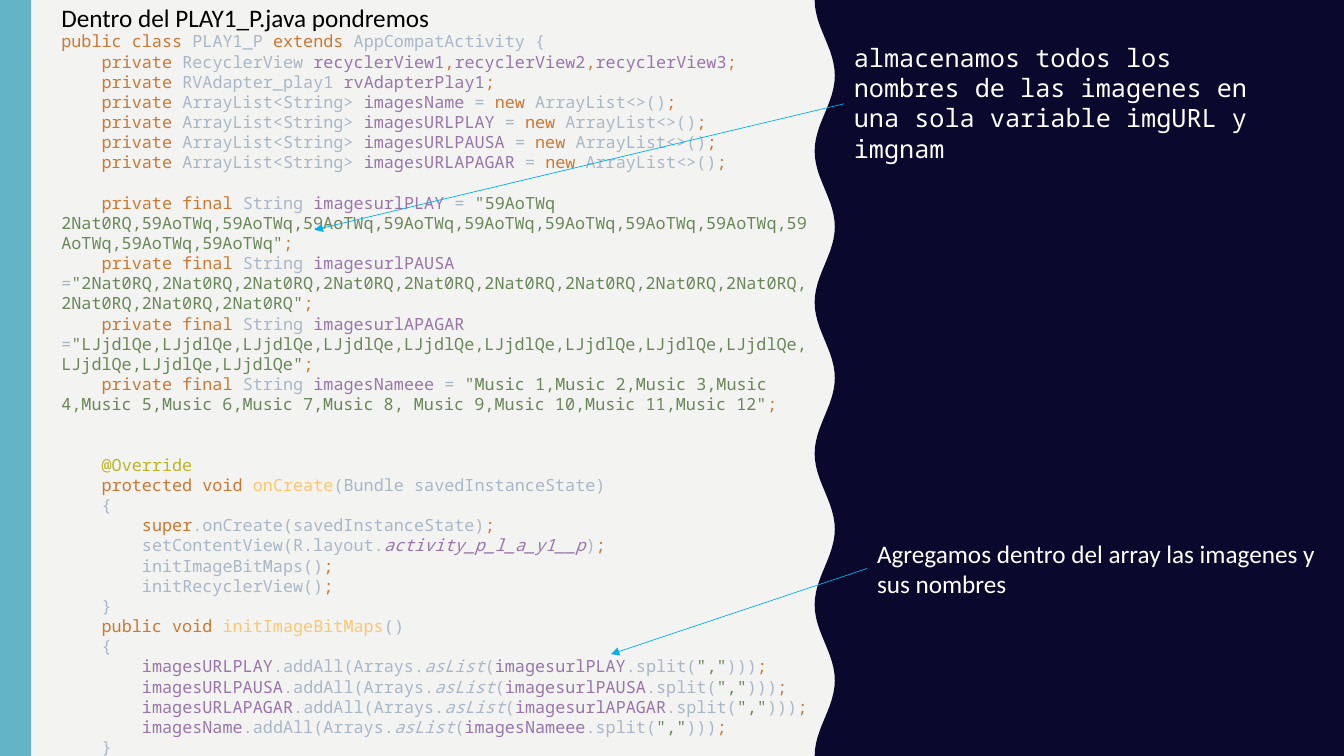
from dataclasses import dataclass
from functools import partial
from math import cos, pi

from lxml.etree import SubElement
from pptx import Presentation
from pptx.dml.color import RGBColor
from pptx.enum.shapes import MSO_CONNECTOR as Connector, MSO_SHAPE as Preset
from pptx.enum.text import MSO_AUTO_SIZE as AutoSize
from pptx.oxml.ns import qn
from pptx.util import Inches, Pt

COLORS = {
    "background": "F3F3F2", "panel": "0B082E", "stripe": "62B4C6",
    "arrow": "00B0F0", "white": "FFFFFF", "black": "000000",
    "keyword": "CC7832", "plain": "A9B7C6", "field": "9876AA",
    "string": "6A8759", "annotation": "BBB529", "method": "FFC66D",
}
MONO, SANS = "Noto Sans Mono", "Calibri"
CHAR_WIDTH = 0.1  # inches, one code character
LINE_HEIGHT = 14.4  # points, one code line
PAGE_WIDTH, PAGE_HEIGHT = 13.33, 7.5


@dataclass
class Span:
    text: str
    color: str
    italic: bool = False


@dataclass
class Line:
    spans: list[Span]
    indent: int = 0  # characters
    gap: int = 0  # empty lines above


@dataclass
class Label:
    text: str
    box: tuple[float, float, float, float]
    color: str
    font: str
    wrap: bool = True


@dataclass
class Arrow:
    start: tuple[float, float]
    end: tuple[float, float]


keyword, plain, field, string, annotation, method = (
    partial(Span, color=name)
    for name in ("keyword", "plain", "field", "string", "annotation", "method")
)
END = keyword(";")


def list_field(name: str) -> Line:
    return Line([keyword("private "), plain("ArrayList<String> "), field(name + " "),
                 plain("= "), keyword("new "), plain("ArrayList<>()"), END], 4)


def string_field(name: str, equals: str, items: list[str], gap: int = 0) -> Line:
    return Line([keyword("private final "), plain("String "), field(name + " "),
                 plain(equals), string('"' + ",".join(items) + '"'), END], 4, gap)


def call(text: str) -> Line:
    return Line([plain(text), END], 8)


def add_all(target: str, source: str) -> Line:
    return Line([field(target), plain(".addAll(Arrays."), plain("asList", italic=True),
                 plain("("), field(source), plain(".split("), string('","'),
                 plain(")))"), END], 8)


# Java listing
LISTS = {
    "imagesURLPLAY": "imagesurlPLAY",
    "imagesURLPAUSA": "imagesurlPAUSA",
    "imagesURLAPAGAR": "imagesurlAPAGAR",
    "imagesName": "imagesNameee",
}
MUSIC = [f"Music {number}" for number in range(1, 13)]
MUSIC[8] = " Music 9"
CODE = [
    Line([keyword("public class "), plain("PLAY1_P "), keyword("extends "),
          plain("AppCompatActivity {")]),
    Line([keyword("private "), plain("RecyclerView "), field("recyclerView1"),
          keyword(","), field("recyclerView2"), keyword(","),
          field("recyclerView3"), END], 4),
    Line([keyword("private "), plain("RVAdapter_play1 "),
          field("rvAdapterPlay1"), END], 4),
    list_field("imagesName"),
    *[list_field(name) for name in LISTS if name != "imagesName"],
    string_field("imagesurlPLAY", "= ", ["59AoTWq 2Nat0RQ"] + ["59AoTWq"] * 11, gap=1),
    string_field("imagesurlPAUSA", "=", ["2Nat0RQ"] * 12),
    string_field("imagesurlAPAGAR", "=", ["LJjdlQe"] * 12),
    string_field("imagesNameee", "= ", MUSIC),
    Line([annotation("@Override")], 4, gap=2),
    Line([keyword("protected void "), method("onCreate"),
          plain("(Bundle savedInstanceState)")], 4),
    Line([plain("{")], 4),
    Line([keyword("super"), plain(".onCreate(savedInstanceState)"), END], 8),
    Line([plain("setContentView(R.layout."), field("activity_p_l_a_y1__p", italic=True),
          plain(")"), END], 8),
    call("initImageBitMaps()"),
    call("initRecyclerView()"),
    Line([plain("}")], 4),
    Line([keyword("public void "), method("initImageBitMaps"), plain("()")], 4),
    Line([plain("{")], 4),
    *[add_all(target, source) for target, source in LISTS.items()],
    Line([plain("}")], 4),
]

LABELS = [
    Label("almacenamos todos los nombres de las imagenes en una sola variable imgURL y imgnam",
          (8.37, 0.37, 4.35, 1.31), "white", MONO),
    Label("Agregamos dentro del array las imagenes y sus nombres",
          (8.6, 5.29, 4.58, 0.71), "white", SANS),
    Label("Dentro del PLAY1_P.java pondremos",
          (0.51, -0.03, 3.96, 0.4), "black", SANS, wrap=False),
]
ARROWS = [Arrow((8.37, 1.03), (3.12, 2.28)), Arrow((8.6, 5.64), (6.06, 6.49))]


def rgb(name: str) -> RGBColor:
    return RGBColor.from_string(COLORS[name])


def paint(shape, color: str) -> None:
    shape.shadow.inherit = False
    shape.fill.solid()
    shape.fill.fore_color.rgb = rgb(color)
    shape.line.fill.background()


def add_frame(page, box: tuple[float, float, float, float], wrap: bool = True):
    frame = page.shapes.add_textbox(*map(Inches, box)).text_frame
    frame.word_wrap = wrap
    frame.auto_size = AutoSize.SHAPE_TO_FIT_TEXT
    return frame


def add_span(para, text: str, *, font: str, size: float, color: str,
             italic: bool = False) -> None:
    span = para.add_run()
    span.text = text
    span.font.name = font
    span.font.size = Pt(size)
    span.font.italic = italic
    span.font.color.rgb = rgb(color)


def add_panel(page) -> None:
    steps = 120
    heights = [PAGE_HEIGHT * (1 - step / steps) for step in range(steps + 1)]
    wave = [(8.18 - 0.1 * cos(2 * pi * y / 1.5), y) for y in heights]
    corners = [(PAGE_WIDTH, 0), (PAGE_WIDTH, PAGE_HEIGHT)]
    points = [(Inches(x), Inches(y)) for x, y in corners + wave]
    builder = page.shapes.build_freeform(*points[0])
    builder.add_line_segments(points[1:], close=True)
    paint(builder.convert_to_shape(), "panel")


def add_code(page, lines: list[Line]) -> None:
    frame = add_frame(page, (0.51, 0.26, 7.63, 7.67))
    for index, line in enumerate(lines):
        para = frame.add_paragraph() if index else frame.paragraphs[0]
        para.space_before = Pt(line.gap * LINE_HEIGHT)
        # First-line indent only, so wrapped code returns to the margin
        para._p.get_or_add_pPr().set("indent", str(Inches(line.indent * CHAR_WIDTH)))
        for span in line.spans:
            add_span(para, span.text, font=MONO, size=12, color=span.color,
                     italic=span.italic)


def add_label(page, label: Label) -> None:
    frame = add_frame(page, label.box, label.wrap)
    add_span(frame.paragraphs[0], label.text, font=label.font, size=18, color=label.color)


def add_arrow(page, arrow: Arrow) -> None:
    line = page.shapes.add_connector(
        Connector.STRAIGHT, *map(Inches, arrow.start + arrow.end))
    line.line.color.rgb = rgb("arrow")
    line.line.width = Pt(0.5)
    properties = line._element.spPr
    SubElement(properties.find(qn("a:ln")), qn("a:tailEnd"), type="triangle")
    SubElement(properties, qn("a:effectLst"))


def main() -> None:
    deck = Presentation()
    deck.slide_width, deck.slide_height = Inches(PAGE_WIDTH), Inches(PAGE_HEIGHT)
    page = deck.slides.add_slide(deck.slide_layouts[6])
    page.background.fill.solid()
    page.background.fill.fore_color.rgb = rgb("background")

    # Backdrop
    add_panel(page)
    stripe = page.shapes.add_shape(Preset.RECTANGLE, 0, 0, Inches(0.31), Inches(PAGE_HEIGHT))
    paint(stripe, "stripe")

    # Listing, explanations and arrows
    add_code(page, CODE)
    for label in LABELS:
        add_label(page, label)
    for arrow in ARROWS:
        add_arrow(page, arrow)
    deck.save("out.pptx")


if __name__ == "__main__":
    main()
